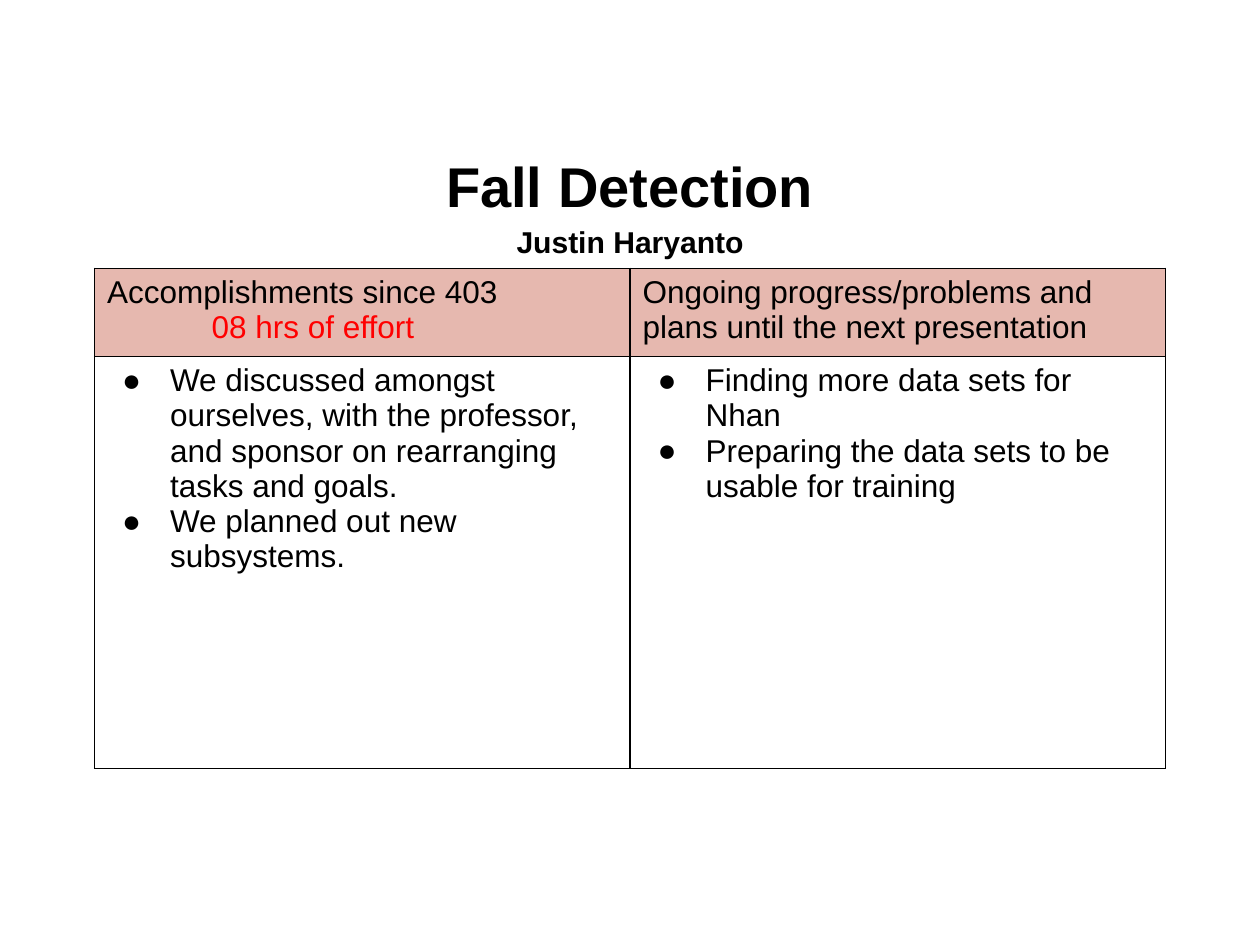
from lxml import etree
from pptx import Presentation
from pptx.dml.color import RGBColor
from pptx.enum.text import MSO_ANCHOR, PP_ALIGN
from pptx.oxml.ns import qn
from pptx.util import Inches, Pt

CENTER, MIDDLE = PP_ALIGN.CENTER, MSO_ANCHOR.MIDDLE
FONT = "Arial"
COLORS = {"text": "000000", "effort": "FF0000", "header": "E6B8AF", "border": "000000"}

TITLE = [("Fall Detection", 32), ("Justin Haryanto", 17.2)]
HEADERS = [
    [("Accomplishments since 403", "text", 0), ("08 hrs of effort", "effort", 0.83)],
    [("Ongoing progress/problems and plans until the next presentation", "text", 0)],
]
ITEMS = [
    [
        "We discussed amongst ourselves, with the professor, and sponsor on rearranging tasks and goals.",
        "We planned out new subsystems.",
    ],
    ["Finding more data sets for Nhan", "Preparing the data sets to be usable for training"],
]
COL_WIDTH = 4.25
ROW_HEIGHTS = [0.7, 3.27]


def style(p, size, color="text", bold=False):
    for r in p.runs:
        r.font.name = FONT
        r.font.size = Pt(size)
        r.font.bold = bold
        r.font.color.rgb = RGBColor.from_string(COLORS[color])


def indent(p, left, first=0):
    pPr = p._p.get_or_add_pPr()
    pPr.set("marL", str(Inches(left)))
    pPr.set("indent", str(Inches(first)))
    return pPr


def add_bullet(p):
    pPr = indent(p, 0.5, -0.38)
    color = etree.SubElement(pPr, qn("a:buClr"))
    etree.SubElement(color, qn("a:srgbClr"), val=COLORS["text"])
    etree.SubElement(pPr, qn("a:buFont"), typeface=FONT)
    etree.SubElement(pPr, qn("a:buChar"), char="●")


def add_borders(cell):
    tcPr = cell._tc.get_or_add_tcPr()
    for side in ("lnL", "lnR", "lnT", "lnB"):
        ln = etree.SubElement(tcPr, qn(f"a:{side}"), w=str(Pt(1)))
        fill = etree.SubElement(ln, qn("a:solidFill"))
        etree.SubElement(fill, qn("a:srgbClr"), val=COLORS["border"])


def format_cell(cell):
    cell.margin_left = cell.margin_right = Inches(0.1)
    cell.margin_top = cell.margin_bottom = Inches(0.05)
    add_borders(cell)


prs = Presentation()
prs.slide_width, prs.slide_height = Inches(10), Inches(7.5)
s = prs.slides.add_slide(prs.slide_layouts[6])

title = s.shapes.add_textbox(Inches(0.5), Inches(1.15), Inches(9), Inches(0.88))
tf = title.text_frame
tf.word_wrap = True
tf.vertical_anchor = MIDDLE
tf.text = "\n".join(line for line, size in TITLE)
for p, (line, size) in zip(tf.paragraphs, TITLE):
    p.alignment = CENTER
    p.line_spacing = 1.15
    style(p, size, bold=True)

table = s.shapes.add_table(
    len(ROW_HEIGHTS), len(HEADERS), Inches(0.75), Inches(2.13),
    Inches(COL_WIDTH * len(HEADERS)), Inches(sum(ROW_HEIGHTS)),
).table
table.first_row = table.horz_banding = False
for row, height in zip(table.rows, ROW_HEIGHTS):
    row.height = Inches(height)

for col, (header, items) in enumerate(zip(HEADERS, ITEMS)):
    table.columns[col].width = Inches(COL_WIDTH)

    cell = table.cell(0, col)
    format_cell(cell)
    cell.fill.solid()
    cell.fill.fore_color.rgb = RGBColor.from_string(COLORS["header"])
    cell.text_frame.text = "\n".join(text for text, color, left in header)
    for p, (text, color, left) in zip(cell.text_frame.paragraphs, header):
        indent(p, left)
        style(p, 18, color)

    cell = table.cell(1, col)
    format_cell(cell)
    cell.fill.background()
    cell.text_frame.text = "\n".join(items)
    for p in cell.text_frame.paragraphs:
        add_bullet(p)
        style(p, 18)

prs.save("out.pptx")
